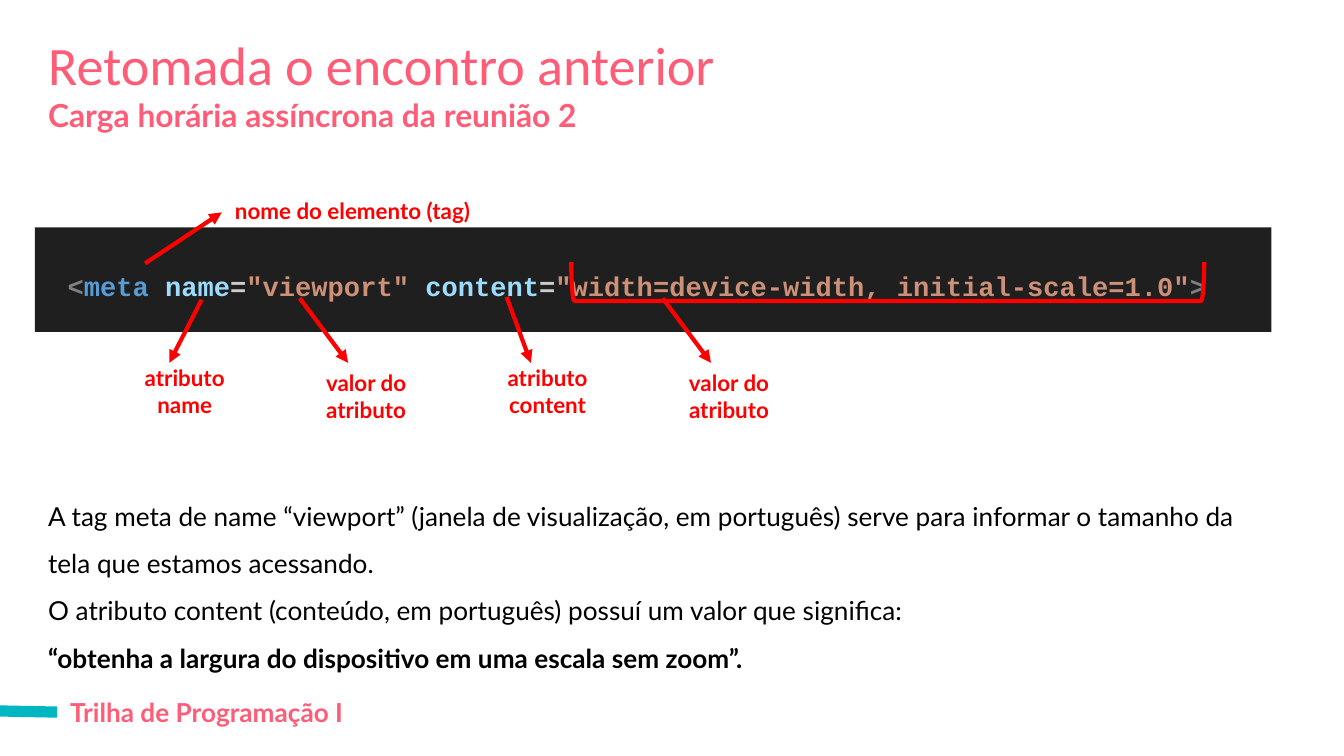
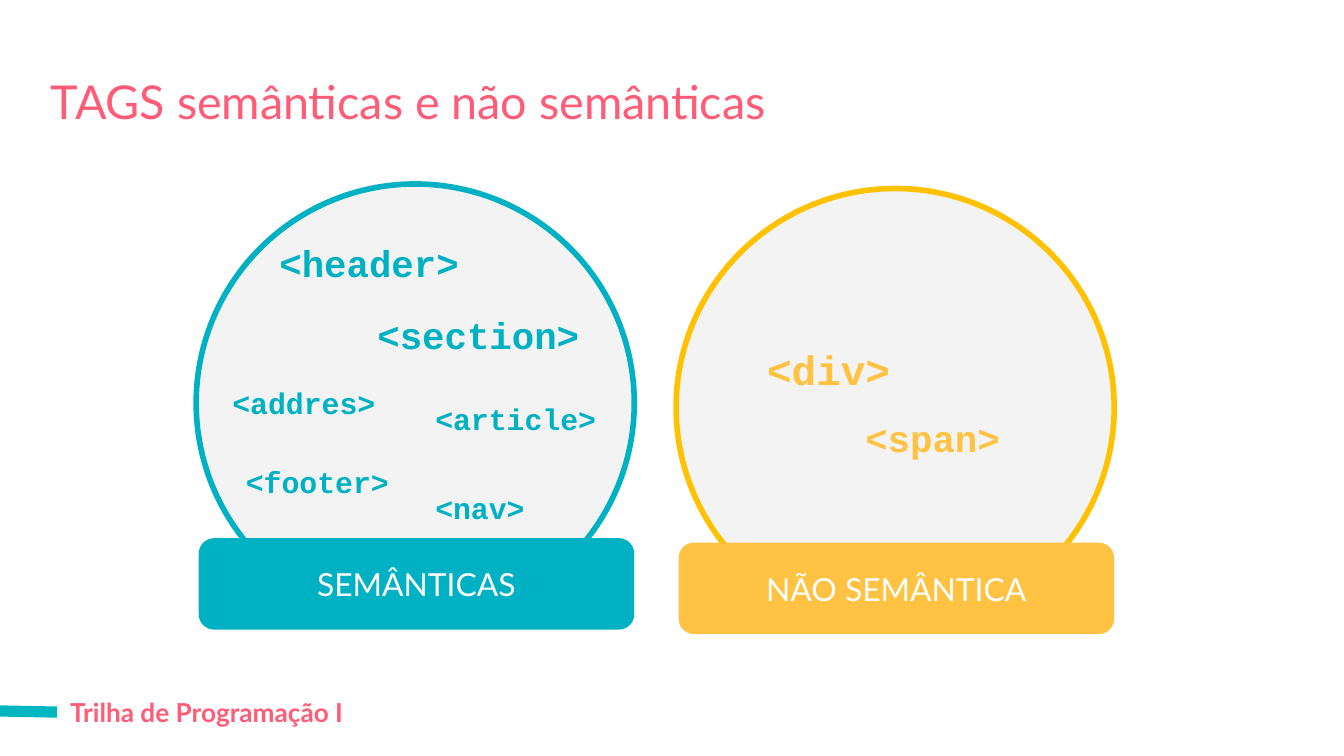
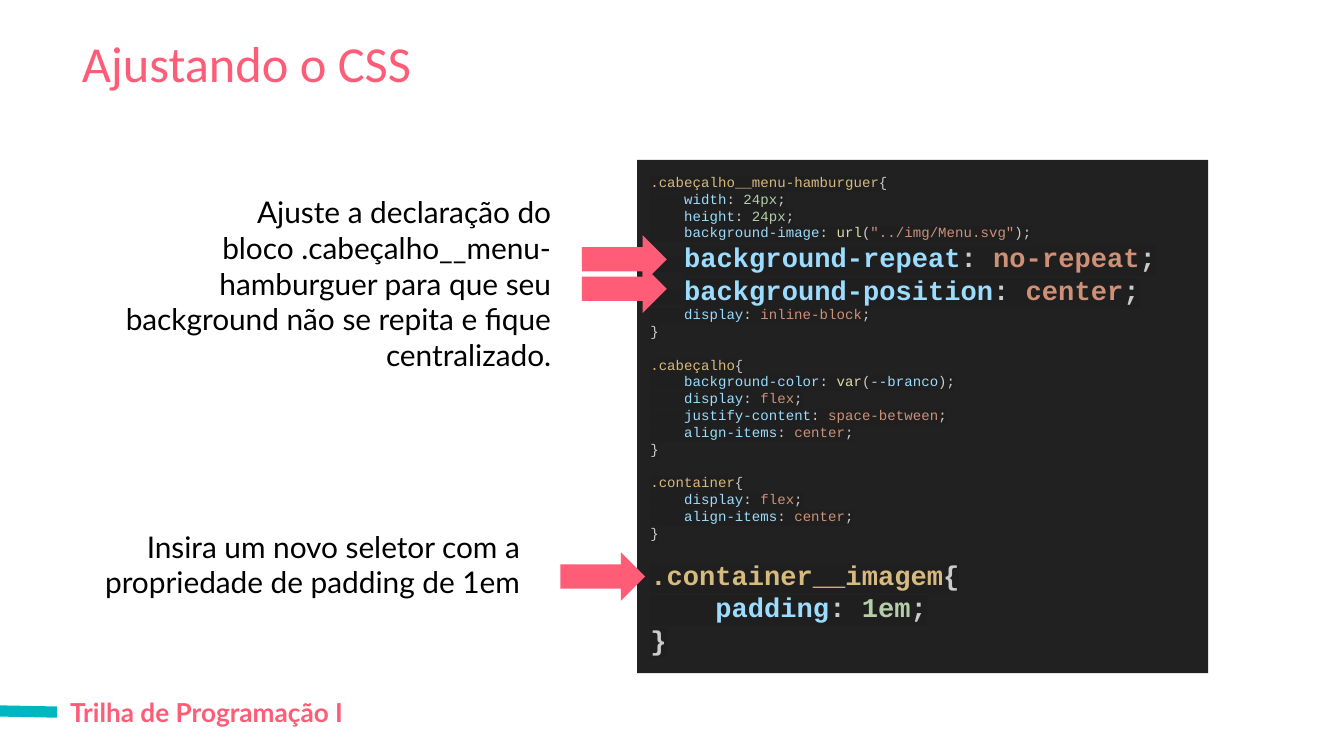
from lxml.etree import SubElement
from pptx import Presentation
from pptx.dml.color import RGBColor
from pptx.enum.shapes import MSO_CONNECTOR as Connector, MSO_SHAPE as Shape
from pptx.enum.text import MSO_ANCHOR as Anchor, MSO_AUTO_SIZE as AutoSize, PP_ALIGN as Align
from pptx.oxml.ns import qn
from pptx.util import Pt

# Shared colours
PINK = RGBColor(0xFF, 0x5C, 0x77)
FOOTER_TEAL = RGBColor(0x00, 0xB7, 0xC1)
TEAL = RGBColor(0x00, 0xB0, 0xC3)
YELLOW = RGBColor(0xFF, 0xC2, 0x42)
AMBER = RGBColor(0xFF, 0xC1, 0x00)
PALE = RGBColor(0xF3, 0xF3, 0xF3)
RED = RGBColor(0xFF, 0x00, 0x00)
BLACK = RGBColor(0x00, 0x00, 0x00)
WHITE = RGBColor(0xFF, 0xFF, 0xFF)

# Code editor colours
EDITOR = RGBColor(0x1F, 0x1F, 0x1F)
PANEL = RGBColor(0x21, 0x21, 0x21)
PLAIN = RGBColor(0xCC, 0xCC, 0xCC)
BRACKET = RGBColor(0x80, 0x80, 0x80)
TAG = RGBColor(0x56, 0x9C, 0xD6)
PROPERTY = RGBColor(0x9C, 0xDC, 0xFE)
VALUE = RGBColor(0xCE, 0x91, 0x78)
NUMBER = RGBColor(0xB5, 0xCE, 0xA8)
FUNCTION = RGBColor(0xDC, 0xDC, 0xAA)
SELECTOR = RGBColor(0xD7, 0xBA, 0x7D)

# Shared text styles
FOOTER = dict(name="Lato", size=14, bold=True, color=PINK)
SUBTITLE = FOOTER | dict(size=17)
CALLOUT = dict(name="Lato", size=12, bold=True, color=RED)
BODY = dict(name="Lato", size=14, bold=False, color=BLACK)
NOTE = BODY | dict(size=16)
LABEL = BODY | dict(size=17, color=WHITE)
CODE = dict(name="Courier New", size=7.5, bold=False, color=PLAIN)
BIG = dict(size=14.5, bold=True)
HTML_TAG = CODE | dict(size=20, bold=True)


# Text
def write(frame, lines, style, align=Align.LEFT, spacing=None, anchor=Anchor.TOP,
          grow=False, highlight=None):
    """Each line is a string or a list of (text, style changes)."""
    settings = dict(
        word_wrap=True, vertical_anchor=anchor,
        auto_size=AutoSize.SHAPE_TO_FIT_TEXT if grow else AutoSize.NONE,
        margin_left=Pt(7.2), margin_right=Pt(7.2),
        margin_top=Pt(7.2), margin_bottom=Pt(7.2))
    for key, value in settings.items():
        setattr(frame, key, value)
    for number, line in enumerate(lines):
        para = frame.paragraphs[0] if number == 0 else frame.add_paragraph()
        para.alignment = align
        para.line_spacing = spacing
        for text, changes in [(line, {})] if isinstance(line, str) else line:
            span = para.add_run()
            span.text = text
            format_span(span, style | changes, highlight)


def format_span(span, style, highlight):
    values = dict(name=style["name"], size=Pt(style["size"]), bold=style["bold"])
    for key, value in values.items():
        setattr(span.font, key, value)
    span.font.color.rgb = style["color"]
    if highlight is not None:
        properties = span._r.get_or_add_rPr()
        mark = SubElement(properties, qn("a:highlight"))
        SubElement(mark, qn("a:srgbClr")).set("val", str(highlight))
        properties.find(qn("a:solidFill")).addnext(mark)


def add_text(page, at, lines, style, grow=True, **layout):
    box = page.shapes.add_textbox(*map(Pt, at))
    write(box.text_frame, lines, style, grow=grow, **layout)


def add_title(page, at, text, size, font="Lato", anchor=Anchor.BOTTOM):
    style = dict(name=font, size=size, bold=False, color=PINK)
    add_text(page, at, [text], style, grow=False, spacing=1.15, anchor=anchor)


# Shapes and lines
def add_figure(page, kind, at, fill=None, line=None, width=1):
    figure = page.shapes.add_shape(kind, *map(Pt, at))
    figure.shadow.inherit = False
    if fill is None:
        figure.fill.background()
    else:
        figure.fill.solid()
        figure.fill.fore_color.rgb = fill
    if line is None:
        figure.line.fill.background()
    else:
        figure.line.color.rgb = line
        figure.line.width = Pt(width)
    return figure


def add_line(page, start, end, color, width, arrow=False):
    line = page.shapes.add_connector(Connector.STRAIGHT, *map(Pt, start + end))
    line.line.color.rgb = color
    line.line.width = Pt(width)
    if arrow:
        SubElement(line.line._get_or_add_ln(), qn("a:tailEnd")).set("type", "triangle")
    SubElement(line._element.spPr, qn("a:effectLst"))


def add_page(deck):
    page = deck.slides.add_slide(deck.slide_layouts[6])
    add_line(page, (0, 380.9), (30.5, 381.5), FOOTER_TEAL, 6)
    add_text(page, (30.5, 365.8, 379.4, 31.7), ["Trilha de Programação I"], FOOTER)
    return page


def add_topic(page, left, top, name, fill, outline, tags):
    """A circle of tags standing on a named label."""
    add_figure(page, Shape.OVAL, (left, top, 234.7, 234.7), PALE, outline, 3)
    for text, x, y, width, size in tags:
        add_text(page, (x, y, width, size * 1.2 + 14.4), [text],
                 HTML_TAG | dict(size=size, color=fill))
    label = add_figure(page, Shape.ROUNDED_RECTANGLE,
                       (left + 1.4, top + 189.7, 233.3, 49), fill)
    write(label.text_frame, [name], LABEL, Align.CENTER, anchor=Anchor.MIDDLE)


# CSS code
def colored(*pairs):
    return [(text, dict(color=color)) for text, color in pairs]


def call(function, argument, color):
    return [(function, FUNCTION), ("(", PLAIN), (argument, color), (")", PLAIN)]


def declare(name, *value):
    return [("    ", {})] + colored((name, PROPERTY), (": ", PLAIN), *value, (";", PLAIN))


def enlarge(line):
    return [(text, changes | BIG) for text, changes in line]


def enlarge_after_indent(line):
    return line[:1] + enlarge(line[1:])


def css_rule(selector, *declarations):
    return [colored((selector, SELECTOR), ("{", PLAIN)), *declarations, [("}", {})]]


# Slides
def build_viewport_page(deck):
    page = add_page(deck)
    add_text(page, (18.7, 43.9, 388, 35.3), ["Carga horária assíncrona da reunião 2"], SUBTITLE)
    add_title(page, (18.7, 4.3, 504, 49.7), "Retomada o encontro anterior", 29,
              "Calibri", Anchor.TOP)

    band = add_figure(page, Shape.RECTANGLE, (18.7, 121.8, 662.4, 56), EDITOR)
    meta = colored(("<", BRACKET), ("meta", TAG), (" ", PLAIN), ("name", PROPERTY),
                   ("=", PLAIN), ('"viewport"', VALUE), (" ", PLAIN),
                   ("content", PROPERTY), ("=", PLAIN),
                   ('"width=device-width, initial-scale=1.0"', VALUE), (">", BRACKET))
    write(band.text_frame, [meta], CODE | BIG, Align.CENTER, 1.36, Anchor.MIDDLE,
          highlight=EDITOR)
    band.text_frame.margin_right = Pt(24.6)

    # Callouts: label, arrow start and end, text box
    add_line(page, (77.8, 141.1), (118.8, 113.8), RED, 2.25, arrow=True)
    add_text(page, (118.8, 98.6, 288, 28.8), ["nome do elemento (tag)"], CALLOUT)
    callouts = [
        ("atributo name", (108, 160.6), (90.7, 194.4), (60.5, 187.9, 77, 43.9)),
        ("valor do atributo", (160.6, 159.8), (186.5, 194.4), (154.1, 190.8, 84.2, 43.9)),
        ("atributo content", (271.4, 159.1), (284.4, 194.4), (254.9, 187.9, 77, 43.9)),
        ("valor do atributo", (355, 159.8), (380.9, 194.4), (348.5, 190.8, 84.2, 43.9)),
    ]
    for label, start, end, at in callouts:
        add_line(page, start, end, RED, 2.25, arrow=True)
        add_text(page, at, [label], CALLOUT, align=Align.CENTER)
    bracket = add_figure(page, Shape.RIGHT_BRACKET, (465.1, -18.7, 20.9, 339.1),
                         line=RED, width=2.25)
    bracket.rotation = 90

    add_text(page, (18.7, 252.7, 662.4, 108), [
        "A tag meta de name “viewport” (janela de visualização, em português) "
        "serve para informar o tamanho da tela que estamos acessando.",
        "O atributo content (conteúdo, em português) possuí um valor que significa:",
        [("“obtenha a largura do dispositivo em uma escala sem zoom”.", dict(bold=True))],
    ], BODY, spacing=1.5)


def build_tags_page(deck):
    page = add_page(deck)
    add_title(page, (20.2, 19.4, 619.2, 56.9), "TAGS semânticas e não semânticas", 25)
    # Tags: text, left, top, width, font size
    add_topic(page, 105.1, 98.6, "SEMÂNTICAS", TEAL, TEAL, [
        ("<header>", 142.6, 121.7, 141.8, 20),
        ("<section>", 195.1, 159.8, 158.4, 20),
        ("<article>", 226.1, 207.4, 108.7, 16),
        ("<addres>", 117.4, 198.7, 108.7, 16),
        ("<nav>", 226.1, 254.9, 108.7, 16),
        ("<footer>", 124.6, 241.2, 108.7, 16),
    ])
    add_topic(page, 362.2, 101, "NÃO SEMÂNTICA", YELLOW, AMBER, [
        ("<div>", 403.9, 177.1, 141.8, 22),
        ("<span>", 456.5, 215.3, 158.4, 20),
    ])


def build_css_page(deck):
    page = add_page(deck)
    add_title(page, (36.7, 17.3, 644.4, 39.6), "Ajustando o CSS", 27, "Calibri")
    add_text(page, (36.7, 96.5, 265.7, 92.2), [
        "Ajuste a declaração do bloco .cabeçalho__menu-hamburguer para que seu "
        "background não se repita e fique centralizado."], NOTE, align=Align.RIGHT)

    flex = declare("display", ("flex", VALUE))
    centered = declare("align-items", ("center", VALUE))
    code = [
        *css_rule(
            ".cabeçalho__menu-hamburguer",
            declare("width", ("24px", NUMBER)),
            declare("height", ("24px", NUMBER)),
            declare("background-image", *call("url", '"../img/Menu.svg"', VALUE)),
            enlarge_after_indent(declare("background-repeat", ("no-repeat", VALUE))),
            enlarge_after_indent(declare("background-position", ("center", VALUE))),
            declare("display", ("inline-block", VALUE))),
        *css_rule(
            ".cabeçalho",
            declare("background-color", *call("var", "--branco", PROPERTY)),
            flex,
            declare("justify-content", ("space-between", VALUE)),
            centered),
        *css_rule(".container", flex, centered),
        *map(enlarge, css_rule(".container__imagem", declare("padding", ("1em", NUMBER)))),
    ]
    panel = add_figure(page, Shape.RECTANGLE, (341.3, 85.7, 306, 275), PANEL)
    write(panel.text_frame, code, CODE, grow=True, highlight=EDITOR)
    for para in panel.text_frame.paragraphs[1:]:
        if para.text.endswith("{"):
            para.space_before = Pt(9)

    add_text(page, (46.8, 275.8, 239, 72.7),
             ["Insira um novo seletor com a propriedade de padding de 1em"],
             NOTE, align=Align.RIGHT)
    for left, top in [(311.8, 126), (311.8, 141.8), (300.2, 295.9)]:
        add_figure(page, Shape.RIGHT_ARROW, (left, top, 45.4, 25.9), PINK)


def main():
    deck = Presentation()
    deck.slide_width, deck.slide_height = Pt(720), Pt(405)
    build_viewport_page(deck)
    build_tags_page(deck)
    build_css_page(deck)
    deck.save("out.pptx")


if __name__ == "__main__":
    main()
